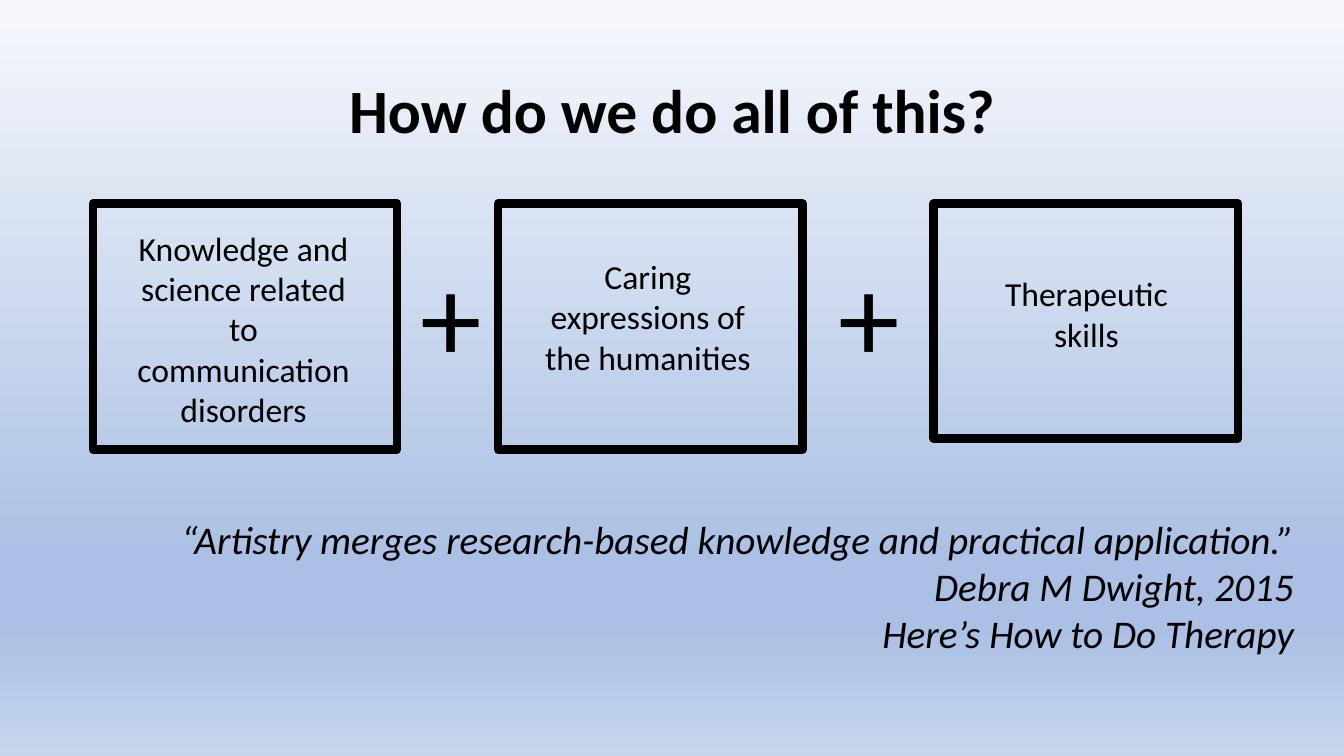
"""Build a slide that adds three ingredients of therapy above a quotation."""
from lxml.etree import SubElement
from pptx import Presentation
from pptx.dml.color import RGBColor
from pptx.enum.shapes import MSO_SHAPE
from pptx.enum.text import MSO_ANCHOR, PP_ALIGN
from pptx.oxml.ns import qn
from pptx.util import Inches, Pt

COLOURS = {"ink": "000000", "top": "F6F8FC", "band": "ABC0E4", "bottom": "C7D5ED"}
INK = RGBColor.from_string(COLOURS["ink"])


def style(paragraph, size, align, bold=False, italic=False):
    paragraph.alignment = align
    font = paragraph.font
    font.name, font.size = "Calibri", Pt(size)
    font.bold, font.italic = bold, italic
    font.color.rgb = INK


def add_text(left, top, width, height, lines, size, aligns, wrap=True, italic=False):
    box = page.shapes.add_textbox(Inches(left), Inches(top), Inches(width), Inches(height))
    frame = box.text_frame
    frame.word_wrap = wrap
    frame.text = "\n".join(lines)
    for para, align in zip(frame.paragraphs, aligns):
        style(para, size, align, italic=italic)


deck = Presentation()
deck.slide_width, deck.slide_height = Inches(13.33), Inches(7.5)
page = deck.slides.add_slide(deck.slide_layouts[5])

fill = page.background.fill
fill.gradient()
fill.gradient_angle = 270
stops = page.element.find(".//" + qn("a:gsLst"))
for stop in list(stops):
    stops.remove(stop)
for percent, name in [(0, "top"), (74, "band"), (83, "band"), (100, "bottom")]:
    stop = SubElement(stops, qn("a:gs"), pos=str(percent * 1000))
    SubElement(stop, qn("a:srgbClr"), val=COLOURS[name])

title = page.shapes.title
title.left, title.top = Inches(0.92), Inches(0.4)
title.width, title.height = Inches(11.5), Inches(1.45)
title.text_frame.text = "How do we do all of this?"
title.text_frame.vertical_anchor = MSO_ANCHOR.MIDDLE
heading = title.text_frame.paragraphs[0]
heading.line_spacing = 0.9
style(heading, 44, PP_ALIGN.CENTER, bold=True)

ingredients = [
    (0.92, 2.44, 1.19, 2.21, 2.12, "Knowledge and science related to communication disorders"),
    (4.94, 2.44, 5.2, 2.49, 1.31, "Caring expressions of the humanities"),
    (9.26, 2.33, 9.55, 2.66, 0.91, "Therapeutic skills"),
]
for left, height, text_left, text_top, text_height, label in ingredients:
    square = page.shapes.add_shape(
        MSO_SHAPE.RECTANGLE, Inches(left), Inches(2.02), Inches(3.02), Inches(height))
    square.shadow.inherit = False
    square.fill.background()
    square.line.color.rgb = INK
    square.line.width = Pt(6)
    add_text(text_left, text_top, 2.45, text_height, [label], 24, [PP_ALIGN.CENTER])

for left in (4.07, 8.22):
    add_text(left, 2.32, 0.82, 1.58, ["+"], 88, [PP_ALIGN.LEFT], wrap=False)

quotation = [
    "“Artistry merges research-based knowledge and practical application.”",
    "Debra M Dwight, 2015",
    "Here’s How to Do Therapy",
]
add_text(1.7, 5.06, 11.36, 1.51, quotation, 28,
         [PP_ALIGN.LEFT, PP_ALIGN.RIGHT, PP_ALIGN.RIGHT], wrap=False, italic=True)

deck.save("out.pptx")
